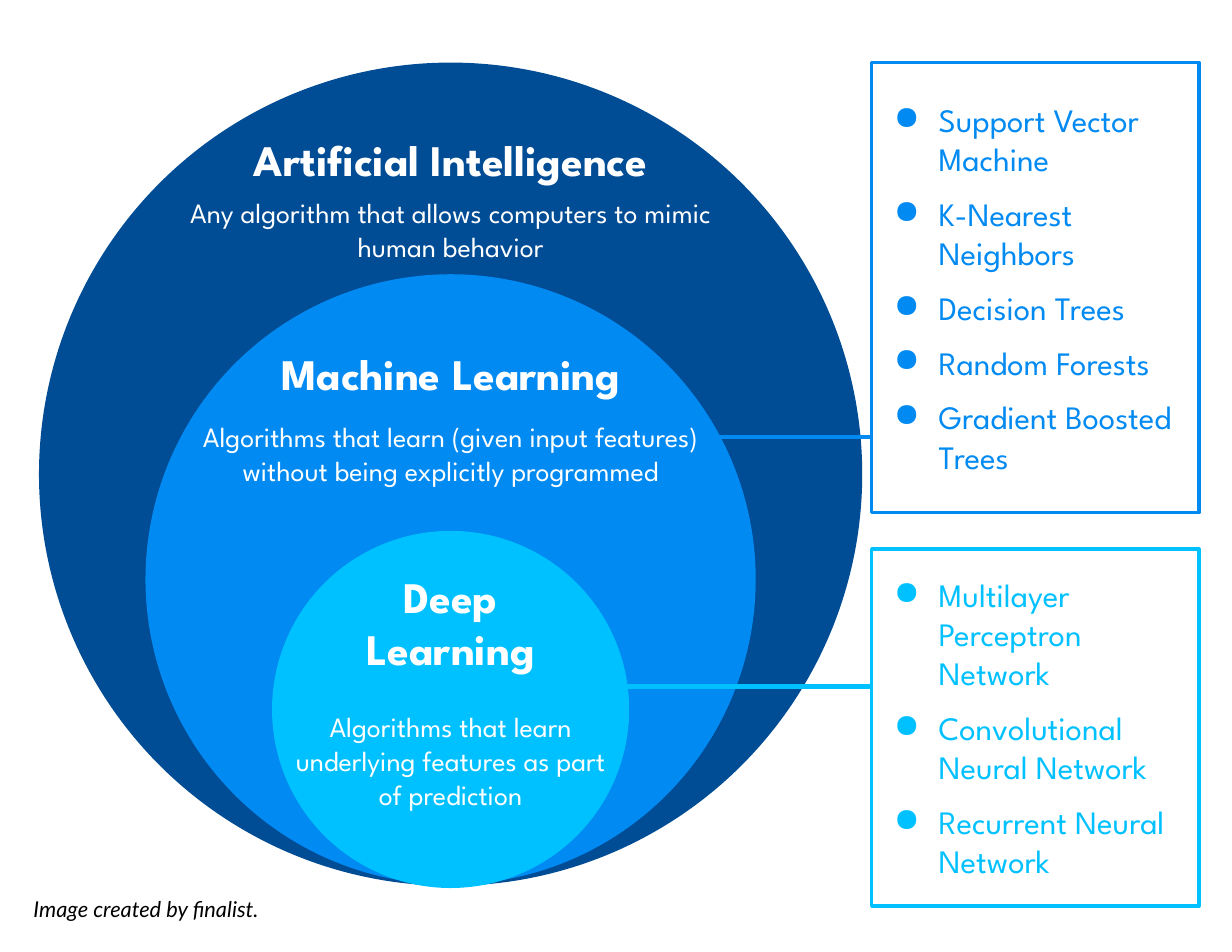
"""Build a slide of nested AI, machine learning and deep learning circles with example methods."""
from dataclasses import dataclass

from lxml.etree import SubElement
from pptx import Presentation
from pptx.dml.color import RGBColor
from pptx.enum.shapes import MSO_CONNECTOR, MSO_SHAPE
from pptx.enum.text import MSO_ANCHOR, PP_ALIGN
from pptx.oxml.ns import qn
from pptx.util import Cm, Pt

COLORS = {
    "ai": "004C95",
    "ml": "008AF2",
    "dl": "00C1FF",
    "label": "FFFFFF",
    "credit": "000000",
}
HEADING = {"name": "League Spartan", "size": Pt(28), "bold": True}
DESCRIPTION = {"name": "League Spartan", "size": Pt(18)}
METHOD = {"name": "League Spartan", "size": Pt(21)}
CREDIT = {"name": "Lato", "size": Pt(14), "italic": True}
FRAME = {
    "word_wrap": True,
    "margin_left": Cm(0.25),
    "margin_right": Cm(0.25),
    "margin_top": Cm(0.25),
    "margin_bottom": Cm(0.25),
}
CENTER = 10.22
BOX_LEFT, BOX_WIDTH = 19.77, 7.42


@dataclass
class Circle:
    color: str
    top: float
    diameter: float


@dataclass
class Label:
    text: str
    top: float
    width: float
    height: float
    style: dict
    anchor: MSO_ANCHOR = MSO_ANCHOR.TOP


@dataclass
class MethodBox:
    color: str
    top: float
    height: float
    line_start: float
    line_y: float
    methods: list[str]


CIRCLES = [
    Circle("ai", 1.42, 18.67),
    Circle("ml", 6.22, 13.84),
    Circle("dl", 12.04, 8.1),
]
LABELS = [
    Label("Artificial Intelligence", 2.59, 17.75, 2.03, HEADING, MSO_ANCHOR.MIDDLE),
    Label("Any algorithm that allows computers to mimic human behavior",
          4.19, 13.34, 2.03, DESCRIPTION),
    Label("Machine Learning", 7.44, 17.75, 2.03, HEADING, MSO_ANCHOR.MIDDLE),
    Label("Algorithms that learn (given input features) without being explicitly programmed",
          9.27, 11.89, 2.39, DESCRIPTION),
    Label("Deep Learning", 12.67, 6.07, 2.03, HEADING),
    Label("Algorithms that learn underlying features as part of prediction",
          15.85, 7.62, 3.05, DESCRIPTION),
]
METHOD_BOXES = [
    MethodBox("ml", 1.42, 10.21, 15.32, 9.91, [
        "Support Vector Machine",
        "K-Nearest Neighbors",
        "Decision Trees",
        "Random Forests",
        "Gradient Boosted Trees",
    ]),
    MethodBox("dl", 12.45, 8.1, 13.06, 15.57, [
        "Multilayer Perceptron Network",
        "Convolutional Neural Network",
        "Recurrent Neural Network",
    ]),
]


def rgb(key: str) -> RGBColor:
    return RGBColor.from_string(COLORS[key])


def apply(target, values: dict) -> None:
    for attribute, value in values.items():
        setattr(target, attribute, value)


def write(paragraph, text: str, style: dict, color: str) -> None:
    run = paragraph.add_run()
    run.text = text
    apply(run.font, style)
    run.font.color.rgb = rgb(color)


def add_bullet(paragraph, color: str) -> None:
    properties = paragraph._p.get_or_add_pPr()
    properties.set("marL", str(Cm(1.27)))
    properties.set("indent", str(-Cm(1.02)))
    bullet_color = SubElement(properties, qn("a:buClr"))
    SubElement(bullet_color, qn("a:srgbClr"), val=COLORS[color])
    SubElement(properties, qn("a:buChar"), char="●")


def draw_circle(slide, circle: Circle) -> None:
    left = CENTER - circle.diameter / 2
    disc = slide.shapes.add_shape(MSO_SHAPE.OVAL, Cm(left), Cm(circle.top),
                                  Cm(circle.diameter), Cm(circle.diameter))
    disc.shadow.inherit = False
    disc.fill.solid()
    disc.fill.fore_color.rgb = rgb(circle.color)
    disc.line.fill.background()


def draw_line(slide, box: MethodBox) -> None:
    line = slide.shapes.add_connector(MSO_CONNECTOR.STRAIGHT, Cm(box.line_start), Cm(box.line_y),
                                      Cm(BOX_LEFT), Cm(box.line_y))
    line.line.color.rgb = rgb(box.color)
    line.line.width = Pt(3)
    SubElement(line._element.spPr, qn("a:effectLst"))


def draw_method_box(slide, box: MethodBox) -> None:
    panel = slide.shapes.add_shape(MSO_SHAPE.RECTANGLE, Cm(BOX_LEFT), Cm(box.top),
                                   Cm(BOX_WIDTH), Cm(box.height))
    panel.shadow.inherit = False
    panel.fill.background()
    panel.line.color.rgb = rgb(box.color)
    panel.line.width = Pt(2.25)
    frame = panel.text_frame
    apply(frame, FRAME | {"vertical_anchor": MSO_ANCHOR.MIDDLE})
    for index, method in enumerate(box.methods):
        paragraph = frame.add_paragraph() if index else frame.paragraphs[0]
        add_bullet(paragraph, box.color)
        paragraph.alignment = PP_ALIGN.LEFT
        if index:
            paragraph.space_before = Pt(10)
        write(paragraph, method, METHOD, box.color)


def draw_label(slide, label: Label, center: float = CENTER, color: str = "label",
               alignment: PP_ALIGN = PP_ALIGN.CENTER) -> None:
    box = slide.shapes.add_textbox(Cm(center - label.width / 2), Cm(label.top),
                                   Cm(label.width), Cm(label.height))
    apply(box.text_frame, FRAME | {"vertical_anchor": label.anchor})
    paragraph = box.text_frame.paragraphs[0]
    paragraph.alignment = alignment
    write(paragraph, label.text, label.style, color)


def main() -> None:
    presentation = Presentation()
    presentation.slide_width = Cm(27.94)
    presentation.slide_height = Cm(21.59)
    slide = presentation.slides.add_slide(presentation.slide_layouts[6])
    for circle in CIRCLES:
        draw_circle(slide, circle)
    for box in METHOD_BOXES:
        draw_line(slide, box)
        draw_method_box(slide, box)
    for label in LABELS:
        draw_label(slide, label)
    credit = Label("Image created by finalist.", 20.07, 8.1, 0.94, CREDIT)
    draw_label(slide, credit, 4.56, "credit", PP_ALIGN.LEFT)
    presentation.save("out.pptx")


if __name__ == "__main__":
    main()
